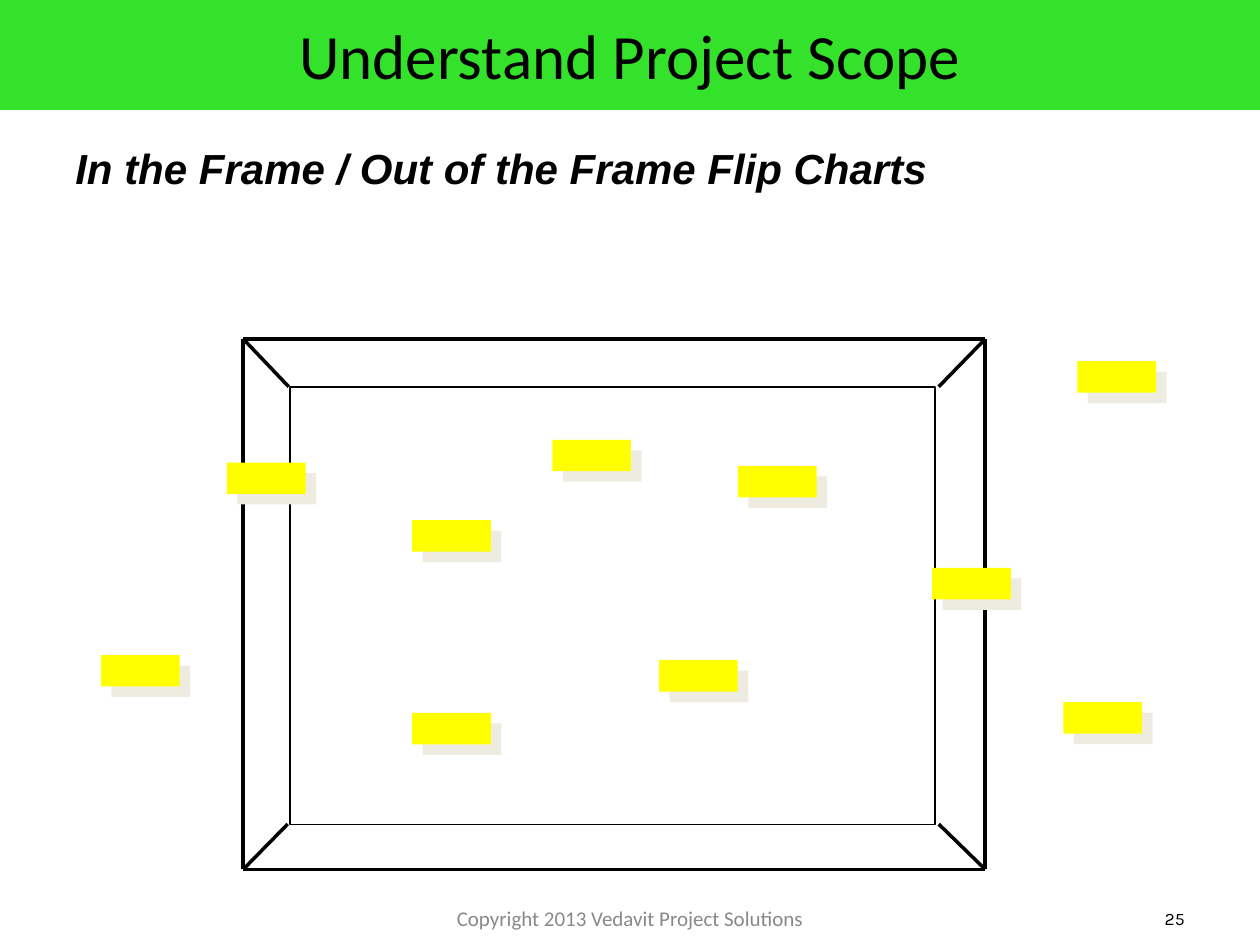
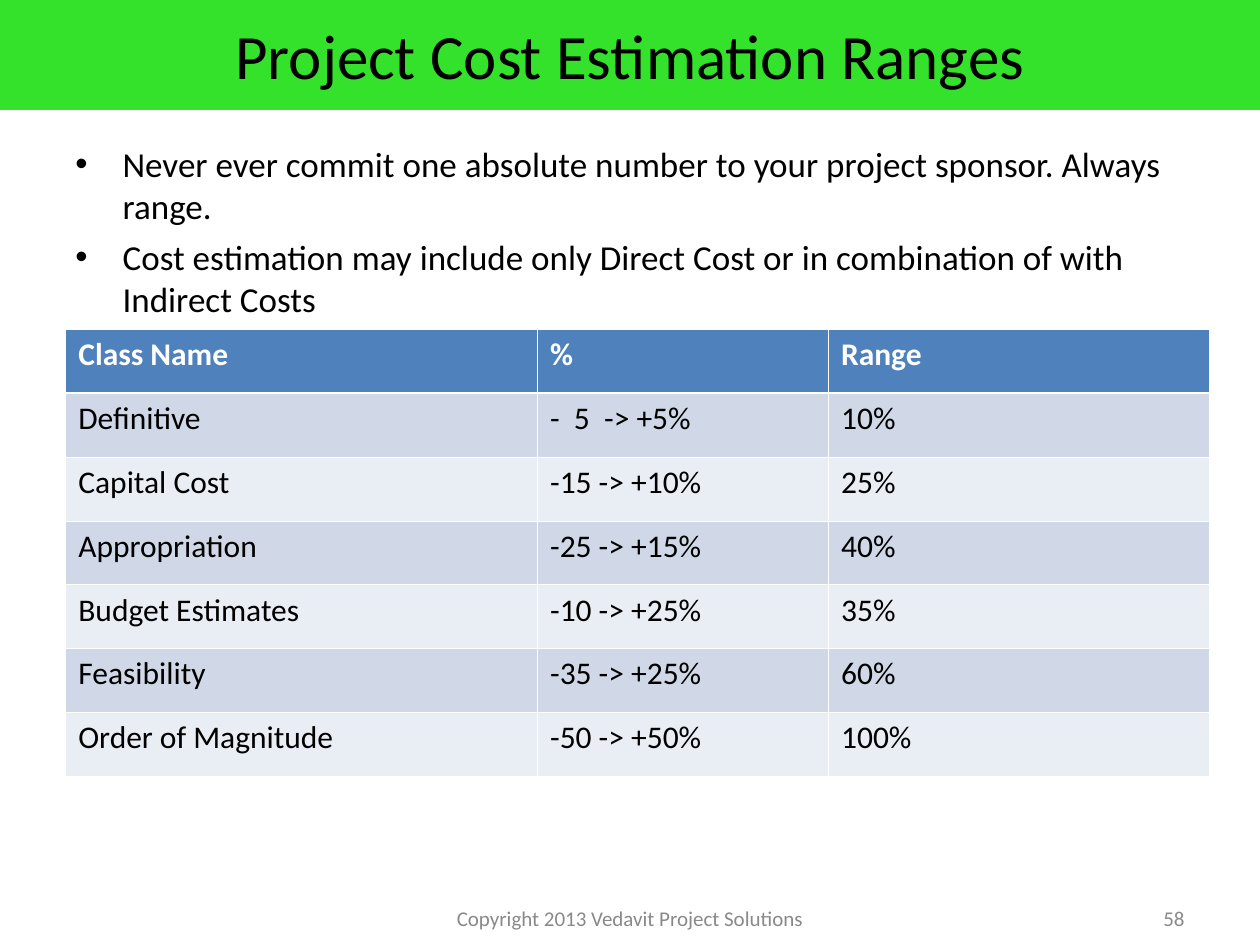
from lxml.etree import SubElement as Sub
from pptx import Presentation
from pptx.dml.color import RGBColor
from pptx.enum.shapes import MSO_CONNECTOR as Link, MSO_SHAPE as Form
from pptx.enum.text import MSO_ANCHOR as Anchor, PP_ALIGN as Align
from pptx.oxml.ns import qn
from pptx.util import Pt

BLACK = RGBColor(0x00, 0x00, 0x00)
WHITE = RGBColor(0xFF, 0xFF, 0xFF)
GREEN = RGBColor(0x34, 0xE1, 0x2B)
GREY = RGBColor(0x89, 0x89, 0x89)
YELLOW = RGBColor(0xFF, 0xFF, 0x00)
SAND = RGBColor(0xEE, 0xEC, 0xE1)
BLUE = RGBColor(0x4F, 0x81, 0xBD)
BANDS = RGBColor(0xD0, 0xD8, 0xE8), RGBColor(0xE9, 0xED, 0xF4)

BODY = (36, 77.8, 648, 401.8)
HEAD = {"name": "Calibri", "size": Pt(36)}
LEAD = {"name": "Arial", "size": Pt(24), "bold": True, "italic": True}
LIST = {"name": "Calibri", "size": Pt(20)}
CELL = {"name": "Calibri", "size": Pt(18)}
FOOT = {"name": "Calibri", "size": Pt(12), "color": GREY}
PAGE = {"name": "Karla", "size": Pt(10)}


class Deck:
    def __init__(self):
        self.prs = Presentation()
        self.prs.slide_width, self.prs.slide_height = Pt(720), Pt(540)
        self.slide = None

    def start(self, title, page, look=FOOT):
        self.slide = self.prs.slides.add_slide(self.prs.slide_layouts[6])
        band = self.rect((0, -0.5, 720, 63.3), GREEN)
        self.fill_text(band.text_frame, [title], HEAD, Align.CENTER, Anchor.MIDDLE)
        self.text((246, 510.5, 228, 28.8), ["Copyright 2013 Vedavit Project Solutions"],
                  FOOT, Align.CENTER, Anchor.MIDDLE)
        self.text((516, 510.5, 168, 28.8), [page], look, Align.RIGHT, Anchor.MIDDLE)

    def fill_text(self, frame, lines, look, align=Align.LEFT, anchor=Anchor.TOP, bullet=False):
        frame.word_wrap = True
        frame.vertical_anchor = anchor
        for i, line in enumerate(lines):
            para = frame.add_paragraph() if i else frame.paragraphs[0]
            if bullet:
                props = para._p.get_or_add_pPr()
                props.set("marL", str(Pt(27)))
                props.set("indent", str(-Pt(27)))
                Sub(props, qn("a:buFont")).set("typeface", "Arial")
                Sub(props, qn("a:buChar")).set("char", "•")
            para.alignment = align
            para.space_before = Pt(5 if i else 0)
            run = para.add_run()
            run.text = line
            for key, value in ({"color": BLACK} | look).items():
                if key == "color":
                    run.font.color.rgb = value
                else:
                    setattr(run.font, key, value)

    def text(self, box, lines, look, *args, **opts):
        shape = self.slide.shapes.add_textbox(*map(Pt, box))
        self.fill_text(shape.text_frame, lines, look, *args, **opts)

    def rect(self, box, fill=None, line=None):
        shape = self.slide.shapes.add_shape(Form.RECTANGLE, *map(Pt, box))
        shape.shadow.inherit = False
        if fill is None:
            shape.fill.background()
        else:
            shape.fill.solid()
            shape.fill.fore_color.rgb = fill
        if line is None:
            shape.line.fill.background()
        else:
            shape.line.color.rgb = line
            shape.line.width = Pt(1)
        return shape

    def line(self, start, end):
        link = self.slide.shapes.add_connector(Link.STRAIGHT, *map(Pt, start + end))
        link.line.color.rgb = BLACK
        link.line.width = Pt(2)
        Sub(link._element.spPr, qn("a:effectLst"))

    def note(self, left, top):
        shape = self.rect((left, top, 45, 18), YELLOW)
        effects = shape._element.spPr.find(qn("a:effectLst"))
        shade = Sub(effects, qn("a:outerShdw"), dist=str(Pt(8.5)), dir="2700000",
                    algn="ctr", rotWithShape="0")
        Sub(shade, qn("a:srgbClr"), val=str(SAND))

    def edge(self, cell, side, width):
        line = Sub(cell._tc.get_or_add_tcPr(), qn(f"a:ln{side}"), w=str(Pt(width)))
        Sub(Sub(line, qn("a:solidFill")), qn("a:srgbClr"), val=str(WHITE))

    def table(self, left, top, widths, height, rows):
        box = (left, top, sum(widths), height * len(rows))
        grid = self.slide.shapes.add_table(len(rows), len(widths), *map(Pt, box)).table
        for col, width in zip(grid.columns, widths):
            col.width = Pt(width)
        for r, row in enumerate(rows):
            grid.rows[r].height = Pt(height)
            look = CELL if r else CELL | {"bold": True, "color": WHITE}
            for c, value in enumerate(row):
                cell = grid.cell(r, c)
                for side in "LRTB":
                    thick = (r, side) in ((0, "B"), (1, "T"))
                    self.edge(cell, side, 1.47 if thick else 0.45)
                cell.fill.solid()
                cell.fill.fore_color.rgb = BANDS[(r - 1) % 2] if r else BLUE
                self.fill_text(cell.text_frame, [value], look)


def scope(deck):
    deck.start("Understand Project Scope", "25", PAGE)
    deck.text(BODY, ["In the Frame / Out of the Frame Flip Charts"], LEAD)
    deck.rect((165.6, 221.2, 368.8, 250), line=BLACK)
    outer = [(139, 193.7), (563, 193.7), (563, 496.8), (139, 496.8)]
    inner = [(165, 221), (536.4, 221), (536.4, 470.9), (164.4, 470.9)]
    for i, corner in enumerate(outer):
        deck.line(corner, outer[(i + 1) % 4])
        deck.line(corner, inner[i])
    notes = [(235.6, 297.2), (376.6, 377.2), (421.7, 266.2), (607.7, 401.2), (615.7, 206.4),
             (129.7, 264.3), (532.7, 324.5), (235.6, 407.4), (57.7, 374.3), (315.6, 251.3)]
    for spot in notes:
        deck.note(*spot)


def costs(deck):
    deck.start("Project Cost Estimation Ranges", "58")
    deck.text(BODY, [
        "Never ever commit one absolute number to your project sponsor. Always range.",
        "Cost estimation may include only Direct Cost or in combination of with Indirect Costs",
    ], LIST, bullet=True)
    deck.table(37.6, 188.2, (269.6, 166.3, 217.8), 36.5, [
        ("Class Name", "%", "Range"),
        ("Definitive", "-  5  -> +5%", "10%"),
        ("Capital Cost", "-15 -> +10%", "25%"),
        ("Appropriation", "-25 -> +15%", "40%"),
        ("Budget Estimates", "-10 -> +25%", "35%"),
        ("Feasibility", "-35 -> +25%", "60%"),
        ("Order of Magnitude", "-50 -> +50%", "100%"),
    ])


def main():
    deck = Deck()
    scope(deck)
    costs(deck)
    deck.prs.save("out.pptx")


if __name__ == "__main__":
    main()
